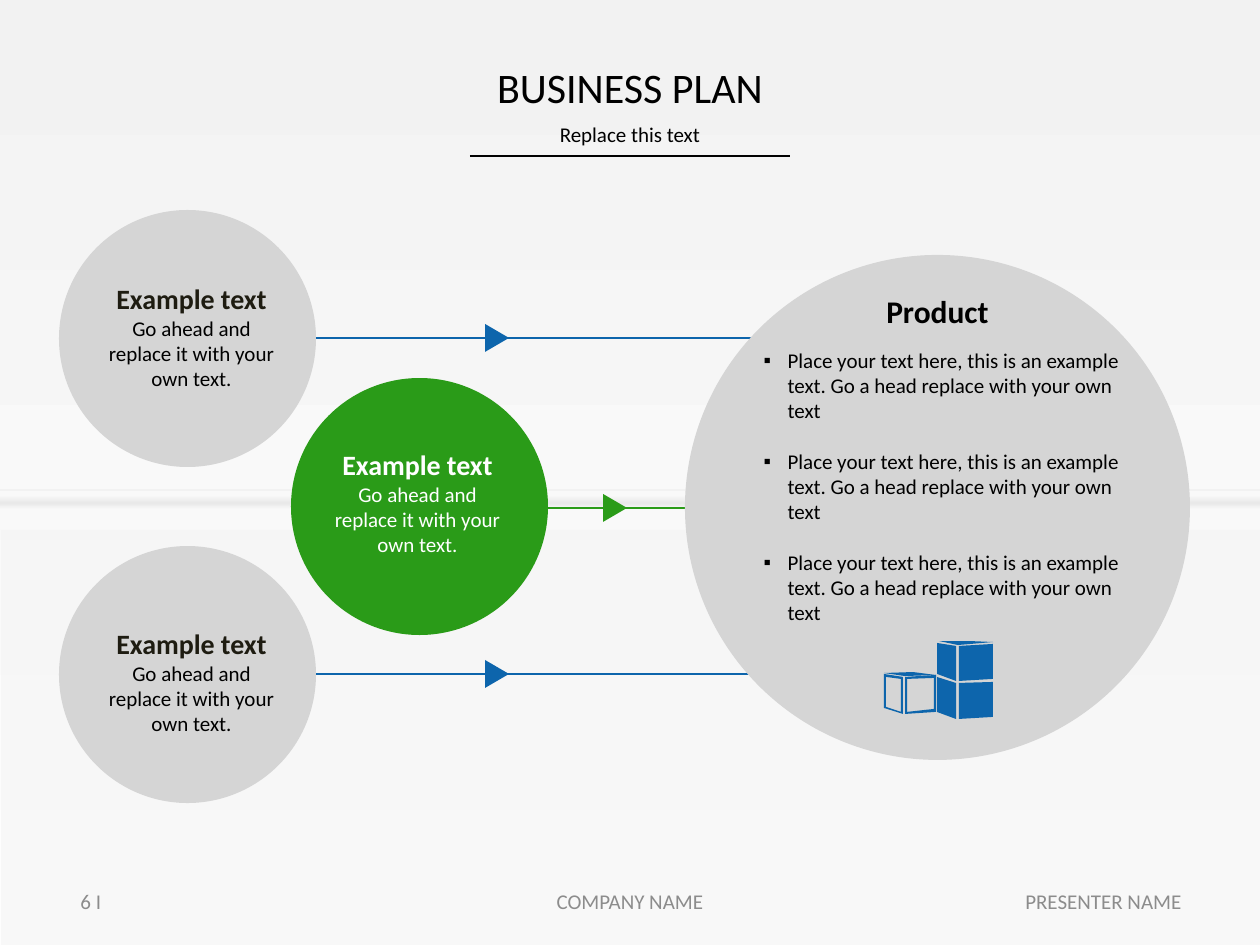
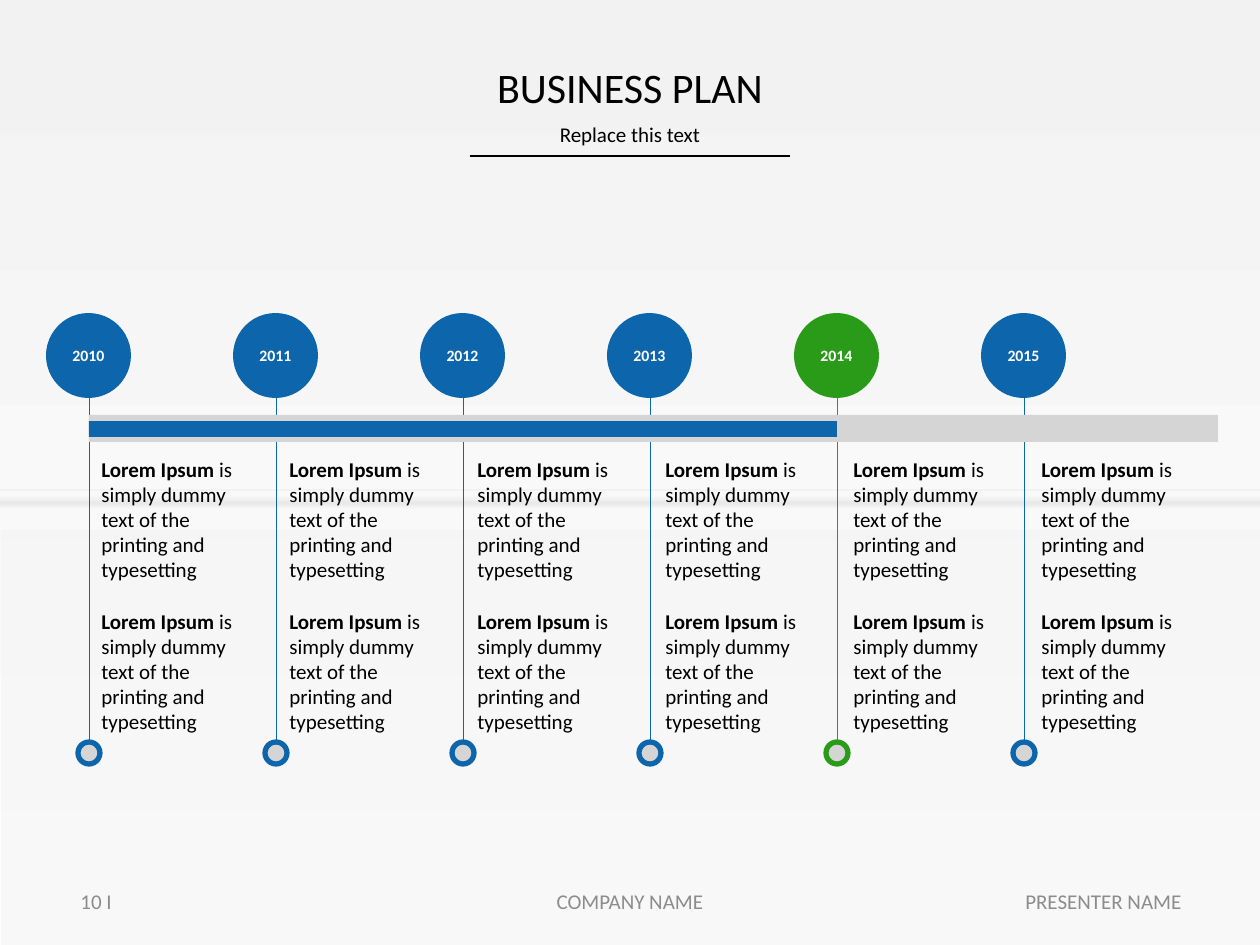
import dataclasses

import pptx
import pptx.dml.color
import pptx.enum.shapes
import pptx.enum.text
import pptx.oxml
import pptx.oxml.ns
import pptx.util

EMU_PER_PX = 914400 / 126
WIDTH, HEIGHT = 1260, 945
SHAPE = pptx.enum.shapes.MSO_SHAPE
ALIGN = pptx.enum.text.PP_ALIGN
ANCHOR = pptx.enum.text.MSO_ANCHOR


@dataclasses.dataclass(frozen=True)
class Theme:
    font: str = "Calibri"
    black: str = "000000"
    white: str = "FFFFFF"
    ink: str = "1E1C11"
    blue: str = "0D65AC"
    green: str = "2A9B18"
    disc: str = "D5D5D5"
    footer: str = "8C8C8C"
    paper: str = "F2F2F2"
    horizon: str = "F9F9F9"
    shade: str = "E9E9E9"
    title_size: int = 24
    product_size: int = 18
    heading_size: int = 16
    text_size: int = 12
    year_size: int = 9


THEME = Theme()


def px(length):
    return pptx.util.Emu(round(length * EMU_PER_PX))


def rgb(colour):
    return pptx.dml.color.RGBColor.from_string(colour)


def add_child(parent, tag, **attributes):
    child = pptx.oxml.parse_xml(f"<{tag} {pptx.oxml.ns.nsdecls('a')}/>")
    for name, value in attributes.items():
        child.set(name, str(value))
    parent.append(child)
    return child


# Basic parts

def paint(shape, fill):
    shape.shadow.inherit = False
    shape.fill.solid()
    shape.fill.fore_color.rgb = rgb(fill)
    shape.line.fill.background()
    return shape


def add_part(slide, kind, box, fill):
    return paint(slide.shapes.add_shape(kind, *map(px, box)), fill)


def add_line(slide, start, end, colour, width=1):
    line = slide.shapes.add_connector(
        pptx.enum.shapes.MSO_CONNECTOR.STRAIGHT, *map(px, start + end))
    line.line.color.rgb = rgb(colour)
    line.line.width = pptx.util.Pt(width)
    add_child(line.element.spPr, "a:effectLst")
    return line


def style(paragraph, size, colour=THEME.black, bold=False, align=ALIGN.LEFT):
    paragraph.alignment = align
    font = paragraph.font
    font.name = THEME.font
    font.size = pptx.util.Pt(size)
    font.bold = bold
    font.color.rgb = rgb(colour)


def set_frame(shape, anchor=ANCHOR.TOP, wrap=True):
    frame = shape.text_frame
    frame.word_wrap = wrap
    frame.auto_size = pptx.enum.text.MSO_AUTO_SIZE.NONE
    frame.vertical_anchor = anchor
    return frame


def add_text(slide, box, anchor=ANCHOR.TOP, wrap=True):
    return set_frame(slide.shapes.add_textbox(*map(px, box)), anchor, wrap)


def place(placeholder, box, anchor=ANCHOR.TOP):
    placeholder.left, placeholder.top, placeholder.width, placeholder.height = map(px, box)
    return set_frame(placeholder, anchor)


# Shared by both slides

def add_gradient(slide, box, top_colour, bottom_colour):
    band = add_part(slide, SHAPE.RECTANGLE, box, top_colour)
    band.fill.gradient()
    band.fill.gradient_angle = 270
    for stop, colour in zip(band.fill.gradient_stops, (top_colour, bottom_colour)):
        stop.color.rgb = rgb(colour)
    return band


def add_backdrop(slide, master):
    """Draw the backdrop and move it to the back of the master."""
    sheet = add_gradient(slide, (0, 0, WIDTH, HEIGHT), THEME.paper, THEME.white)
    floor = add_part(slide, SHAPE.RECTANGLE, (1, 530, WIDTH - 1, HEIGHT - 530), THEME.paper)
    floor_colour = floor.fill._xPr.find(".//" + pptx.oxml.ns.qn("a:srgbClr"))
    add_child(floor_colour, "a:alpha", val=49000)
    backdrop = [
        sheet,
        floor,
        add_line(slide, (0, 490), (WIDTH, 490), THEME.paper),
        add_gradient(slide, (0, 495, WIDTH, 8), THEME.horizon, THEME.shade),
        add_gradient(slide, (0, 503, WIDTH, 7), THEME.shade, THEME.horizon),
        add_line(slide, (470, 156), (790, 156), THEME.black),
    ]
    for order, part in enumerate(backdrop):
        part.element.xpath(".//p:cNvPr")[0].set("id", str(100 + order))
        master.shapes.element.insert(2 + order, part.element)


def add_header(slide, subtitle):
    title = place(slide.shapes.title, (87, 55, 1086, 63), ANCHOR.MIDDLE)
    title.text = "BUSINESS PLAN"
    style(title.paragraphs[0], THEME.title_size, align=ALIGN.CENTER)
    line = place(subtitle, (87, 120, 1086, 34)).paragraphs[0]
    line.text = "Replace this text"
    line.line_spacing = 0.8
    line.space_before = pptx.util.Pt(0)
    style(line, THEME.text_size, align=ALIGN.CENTER)


def add_footer(slide, number):
    footers = (
        (68, 284, f"{number} I", ALIGN.LEFT),
        (417, 426, "COMPANY NAME", ALIGN.CENTER),
        (910, 284, "PRESENTER NAME", ALIGN.RIGHT),
    )
    for left, width, words, align in footers:
        footer = add_text(slide, (left, 876, width, 50), ANCHOR.MIDDLE)
        footer.text = words
        style(footer.paragraphs[0], THEME.text_size, THEME.footer, align=align)


# Slide with inputs leading to a product

def add_input_text(slide, left, top, heading_colour, text_colour):
    frame = add_text(slide, (left, top, 205, 123), ANCHOR.MIDDLE)
    heading = frame.paragraphs[0]
    heading.text = "Example text"
    style(heading, THEME.heading_size, heading_colour, True, ALIGN.CENTER)
    detail = frame.add_paragraph()
    detail.text = "Go ahead and replace it with your own text."
    style(detail, THEME.text_size, text_colour, align=ALIGN.CENTER)


def add_arrow_mark(slide, centre_x, centre_y, colour):
    mark = add_part(slide, SHAPE.ISOSCELES_TRIANGLE,
                    (centre_x - 14, centre_y - 12, 28, 24), colour)
    mark.rotation = 90


def add_boxes_icon(slide, left, top):
    faces = (
        # open box: left side, front, lid
        [[(0, 34), (0, 68), (19, 74), (19, 37)], [(17, 72), (2, 67), (2, 37), (17, 39)]],
        [[(21, 37), (21, 74), (52, 72), (52, 35)], [(50, 69), (23, 72), (23, 39), (50, 38)]],
        [[(0, 33), (29, 32), (52, 35), (21, 36)]],
        # lower box: front, left side
        [[(75, 43), (109, 42), (109, 77), (75, 79)]],
        [[(72, 43), (53, 37), (53, 72), (72, 79)]],
        # upper box: front, left side, lid
        [[(75, 6), (109, 4), (109, 39), (75, 41)]],
        [[(72, 6), (53, 3), (53, 34), (72, 41)]],
        [[(55, 1), (85, 1), (109, 2), (74, 5)]],
    )
    for outline, *holes in faces:
        face = slide.shapes.build_freeform(*outline[0], scale=EMU_PER_PX)
        face.add_line_segments(outline[1:])
        for hole in holes:
            face.move_to(*hole[0])
            face.add_line_segments(hole[1:])
        paint(face.convert_to_shape(px(left), px(top)), THEME.blue)


def add_product(slide, points, left, top, size):
    add_part(slide, SHAPE.OVAL, (left, top, size, size), THEME.disc)
    add_boxes_icon(slide, left + 199, top + 385)
    heading = add_text(slide, (left + 188, top + 31, 129, 50), wrap=False)
    heading.text = "Product"
    style(heading.paragraphs[0], THEME.product_size, bold=True, align=ALIGN.CENTER)

    slide.shapes.element.append(points.element)  # bring the list in front of the disc
    frame = place(points, (left + 66, top + 86, 388, 292))
    for index in range(3):
        point = frame.add_paragraph() if index else frame.paragraphs[0]
        point.text = ("Place your text here, this is an example text. "
                      "Go a head replace with your own text")
        point.space_before = pptx.util.Pt(14.6 if index else 0)
        properties = point._p.get_or_add_pPr()
        properties.set("marL", str(px(24)))
        properties.set("indent", str(px(-24)))
        add_child(properties, "a:buFont", typeface="Arial")
        add_child(properties, "a:buChar", char="▪")
        style(point, THEME.text_size)


def build_product_slide(slide):
    title, points, subtitle = slide.placeholders
    add_header(slide, subtitle)
    add_footer(slide, 6)
    # Lines run behind the discs
    flows = ((316, 796, 338, 497, THEME.blue),
             (497, 752, 508, 615, THEME.green),
             (316, 796, 674, 497, THEME.blue))
    for start, end, y, mark_x, colour in flows:
        add_line(slide, (start, y), (end, y), colour)
    inputs = (
        (59, 210, THEME.disc, 89, 275, THEME.ink, THEME.black),
        (59, 546, THEME.disc, 89, 620, THEME.ink, THEME.black),
        (291, 378, THEME.green, 315, 441, THEME.white, THEME.white),
    )
    for left, top, fill, *words in inputs:
        add_part(slide, SHAPE.OVAL, (left, top, 257, 257), fill)
        add_input_text(slide, *words)
    add_product(slide, points, 685, 255, 505)
    for start, end, y, mark_x, colour in flows:
        add_arrow_mark(slide, mark_x, y, colour)


# Slide with the timeline

def add_year(slide, x, top, year, colour):
    add_line(slide, (x, top + 70), (x, top + 450), colour, 0.5)
    ring = add_part(slide, SHAPE.OVAL, (x - 11, top + 429, 22, 22), THEME.disc)
    ring.line.color.rgb = rgb(colour)
    ring.line.width = pptx.util.Pt(3)
    disc = add_part(slide, SHAPE.OVAL, (x - 43, top, 85, 85), colour)
    label = set_frame(disc, ANCHOR.MIDDLE)
    label.text = str(year)
    style(label.paragraphs[0], THEME.year_size, THEME.white, True, ALIGN.CENTER)


def add_note(slide, left, top):
    note = add_text(slide, (left, top, 166, 140)).paragraphs[0]
    style(note, THEME.text_size)
    lead = note.add_run()
    lead.text = "Lorem Ipsum "
    lead.font.bold = True
    note.add_run().text = "is simply dummy text of the printing and typesetting"


def add_timeline(slide, left, top):
    for index, year in enumerate(range(2010, 2016)):
        colour = THEME.green if year == 2014 else THEME.blue
        add_year(slide, left + 187 * index, top, year, colour)
        for note_top in (137, 289):
            add_note(slide, left + 188 * index, top + note_top)
    add_part(slide, SHAPE.RECTANGLE, (left, top + 102, 1129, 27), THEME.disc)
    add_part(slide, SHAPE.RECTANGLE, (left, top + 108, 748, 16), THEME.blue)


def build_timeline_slide(slide):
    add_header(slide, slide.placeholders[1])
    add_footer(slide, 10)
    add_timeline(slide, 89, 313)


def main():
    deck = pptx.Presentation()
    deck.slide_width, deck.slide_height = px(WIDTH), px(HEIGHT)
    product_slide = deck.slides.add_slide(deck.slide_layouts.get_by_name("Content with Caption"))
    add_backdrop(product_slide, deck.slide_master)
    build_product_slide(product_slide)
    build_timeline_slide(deck.slides.add_slide(deck.slide_layouts.get_by_name("Title Slide")))
    deck.save("out.pptx")


if __name__ == "__main__":
    main()
